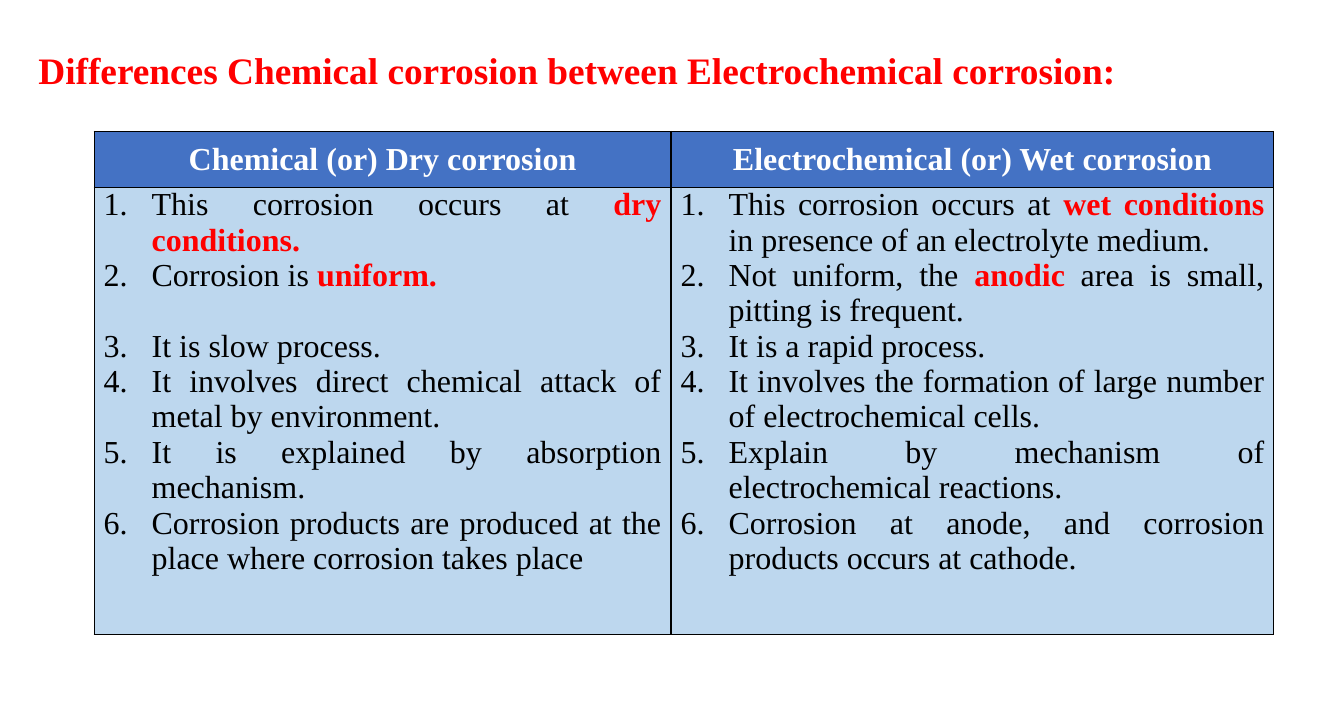
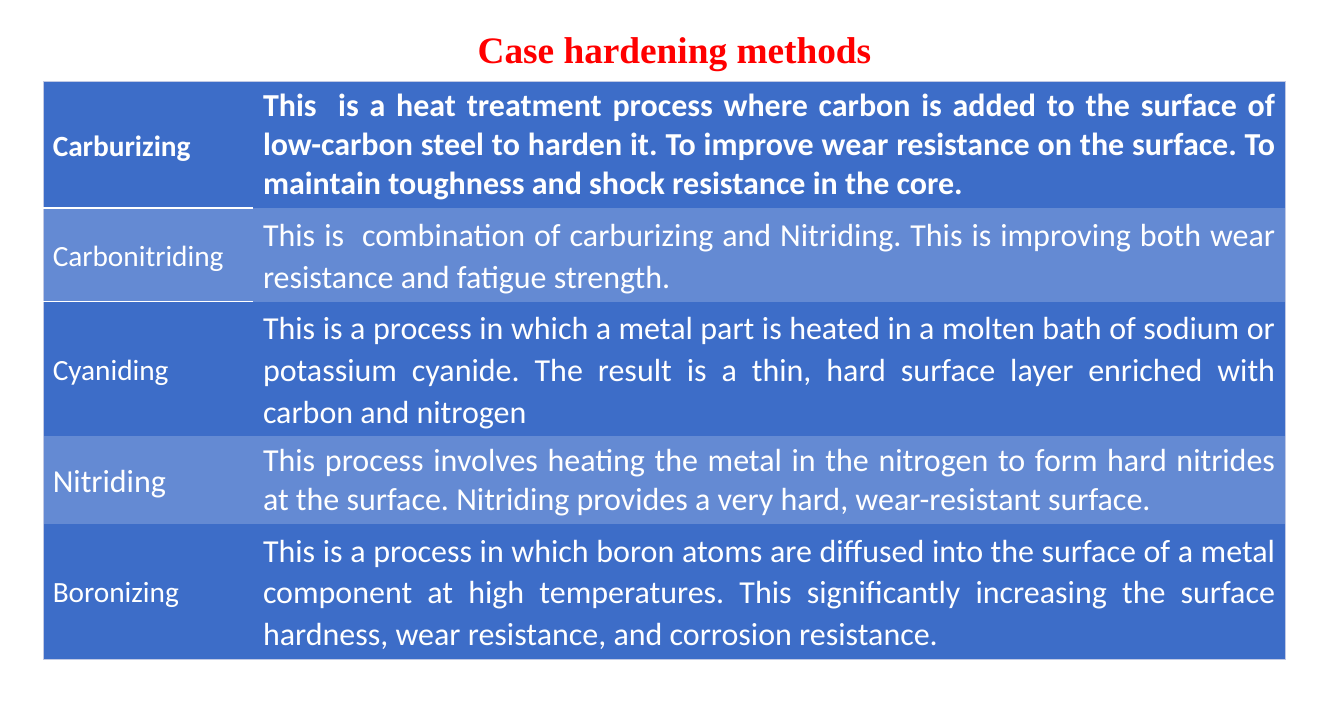
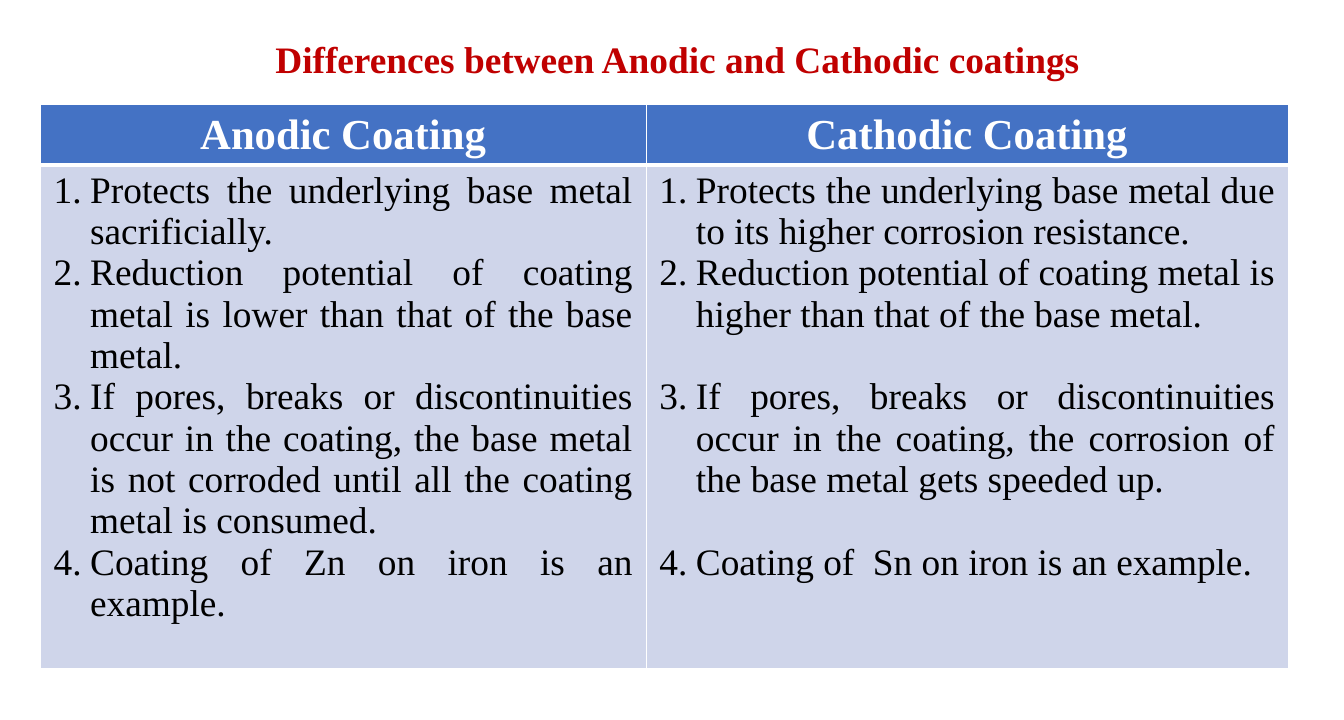
import pptx
import pptx.dml.color
import pptx.enum.text
import pptx.oxml.ns
import pptx.util
from lxml import etree

Inches, Pt = pptx.util.Inches, pptx.util.Pt
RGBColor = pptx.dml.color.RGBColor
ALIGN = pptx.enum.text.PP_ALIGN
ANCHOR = pptx.enum.text.MSO_ANCHOR
qn = pptx.oxml.ns.qn

WHITE = RGBColor(0xFF, 0xFF, 0xFF)
BLACK = RGBColor(0x00, 0x00, 0x00)
RED = RGBColor(0xFF, 0x00, 0x00)
DARK_RED = RGBColor(0xC0, 0x00, 0x00)
HEADER_BLUE = RGBColor(0x44, 0x72, 0xC4)
SKY = RGBColor(0xBD, 0xD7, 0xEE)
LAVENDER = RGBColor(0xCF, 0xD5, 0xEA)
BAND_DARK = RGBColor(0x3D, 0x6D, 0xC8)
BAND_LIGHT = RGBColor(0x64, 0x8A, 0xD3)
FRAME = RGBColor(0xC1, 0xC9, 0xE4)

SERIF, SANS = "Times New Roman", "Calibri"
SERIF_LINE = 1.107  # line height per point of size
NO_GRID_STYLE = "{2D5ABB26-0587-4C30-8999-92F81FD0307C}"

# Text between asterisks is highlighted; "gaps" lists points that follow an empty line.
CORROSION = [
    {"heading": "Chemical (or) Dry corrosion", "gaps": [2], "points": [
        "This corrosion occurs at *dry conditions.*",
        "Corrosion is *uniform.*",
        "It is slow process.",
        "It involves direct chemical attack of metal by environment.",
        "It is explained by absorption mechanism.",
        "Corrosion products are produced at the place where corrosion takes place"]},
    {"heading": "Electrochemical (or) Wet corrosion", "gaps": [], "points": [
        "This corrosion occurs at *wet conditions *in presence of an electrolyte medium.",
        "Not uniform, the *anodic* area is small, pitting is frequent.",
        "It is a rapid process.",
        "It involves the formation of large number of electrochemical cells.",
        "Explain by mechanism of electrochemical reactions.",
        "Corrosion at anode, and corrosion products occurs at cathode."]},
]
COATINGS = [
    {"heading": "Anodic Coating", "gaps": [], "points": [
        "Protects the underlying base metal sacrificially.",
        "Reduction potential of coating metal is lower than that of the base metal.",
        "If pores, breaks or discontinuities occur in the coating, the base metal is not "
        "corroded until all the coating metal is consumed.",
        "Coating of Zn on iron is an example."]},
    {"heading": "Cathodic Coating", "gaps": [2, 3], "points": [
        "Protects the underlying base metal due to its higher corrosion resistance.",
        "Reduction potential of coating metal is higher than that of the base metal.",
        "If pores, breaks or discontinuities occur in the coating, the corrosion of the "
        "base metal gets speeded up.",
        "Coating of  Sn on iron is an example."]},
]
# method, description, method size, description line spacing, row height
HARDENING = [
    ("Carburizing",
     "This  is a heat treatment process where carbon is added to the surface of low-carbon "
     "steel to harden it. To improve wear resistance on the surface. To maintain toughness "
     "and shock resistance in the core.", 22, 1.0, 1.29),
    ("Carbonitriding",
     "This is  combination of carburizing and Nitriding. This is improving both wear "
     "resistance and fatigue strength.", 22, 1.07, 0.96),
    ("Cyaniding",
     "This is a process in which a metal part is heated in a molten bath of sodium or "
     "potassium cyanide. The result is a thin, hard surface layer enriched with carbon "
     "and nitrogen", 22, 1.07, 1.38),
    ("Nitriding",
     "This process involves heating the metal in the nitrogen to form hard nitrides at the "
     "surface. Nitriding provides a very hard, wear-resistant surface.", 24, 1.0, 0.9),
    ("Boronizing",
     "This is a process in which boron atoms are diffused into the surface of a metal "
     "component at high temperatures. This significantly increasing the surface hardness, "
     "wear resistance, and corrosion resistance.", 22, 1.07, 1.38),
]


def write(paragraph, text, *, size, color, font=SERIF, bold=False, align=ALIGN.LEFT,
          line_spacing=None, space_before=None, number_indent=None):
    """Fill a paragraph; text between asterisks turns bold red."""
    if number_indent:
        properties = paragraph._p.get_or_add_pPr()
        properties.set("marL", str(Inches(number_indent)))
        properties.set("indent", str(-Inches(number_indent)))
        etree.SubElement(properties, qn("a:buAutoNum"), type="arabicPeriod")
    paragraph.alignment = align
    if line_spacing:
        paragraph.line_spacing = line_spacing
    if space_before:
        paragraph.space_before = Pt(space_before)
    for position, part in enumerate(text.split("*")):
        if not part:
            continue
        highlighted = position % 2 == 1
        run = paragraph.add_run()
        run.text = part
        run.font.size = Pt(size)
        run.font.name = font
        run.font.bold = bold or highlighted
        run.font.color.rgb = RED if highlighted else color


def add_titled_slide(deck, title, box, color=RED, align=ALIGN.CENTER):
    slide = deck.slides.add_slide(deck.slide_layouts[5])
    heading = slide.shapes.title
    heading.left, heading.top, heading.width, heading.height = map(Inches, box)
    frame = heading.text_frame
    frame.word_wrap = True
    frame.auto_size = pptx.enum.text.MSO_AUTO_SIZE.NONE
    frame.vertical_anchor = ANCHOR.TOP
    write(frame.paragraphs[0], title, size=28, color=color, bold=True, align=align)
    return slide


def add_plain_table(slide, left, top, widths, heights):
    table = slide.shapes.add_table(
        len(heights), len(widths), Inches(left), Inches(top),
        Inches(sum(widths)), Inches(sum(heights))).table
    table._tbl.tblPr.find(qn("a:tableStyleId")).text = NO_GRID_STYLE
    table.first_row = table.horz_banding = False
    for column, width in zip(table.columns, widths):
        column.width = Inches(width)
    for row, height in zip(table.rows, heights):
        row.height = Inches(height)
    return table


def dress_cell(cell, fill, borders, insets=(0.1, 0.05), anchor=ANCHOR.MIDDLE):
    """Set margins, fill and borders; borders maps L, R, T, B to (colour, points)."""
    cell.margin_left = cell.margin_right = Inches(insets[0])
    cell.margin_top = cell.margin_bottom = Inches(insets[1])
    cell.vertical_anchor = anchor
    properties = cell._tc.get_or_add_tcPr()
    for side in "LRTB":
        if side in borders:
            color, points = borders[side]
            line = etree.SubElement(properties, qn("a:ln" + side), w=str(Pt(points)))
            solid = etree.SubElement(line, qn("a:solidFill"))
            etree.SubElement(solid, qn("a:srgbClr"), val=str(color))
    cell.fill.solid()
    cell.fill.fore_color.rgb = fill


def add_comparison(slide, sides, *, place, widths, heights, head_size, size, indent,
                   body_fill, insets, line_color, rule):
    """Two headed columns of numbered points; rule is the line under the headings."""
    table = add_plain_table(slide, *place, widths, heights)
    grid = dict.fromkeys("LRTB", (line_color, 1))
    for index, side in enumerate(sides):
        head, body = table.cell(0, index), table.cell(1, index)
        dress_cell(head, HEADER_BLUE, {**grid, "B": (line_color, rule)}, insets)
        dress_cell(body, body_fill, {**grid, "T": (line_color, rule)}, insets, ANCHOR.TOP)
        write(head.text_frame.paragraphs[0], side["heading"], size=head_size,
              color=WHITE, bold=True, align=ALIGN.CENTER)
        frame = body.text_frame
        for number, point in enumerate(side["points"]):
            paragraph = frame.add_paragraph() if number else frame.paragraphs[0]
            gap = size * SERIF_LINE if number in side["gaps"] else None
            write(paragraph, point, size=size, color=BLACK, align=ALIGN.JUSTIFY,
                  space_before=gap, number_indent=indent)


def add_hardening_table(slide):
    table = add_plain_table(slide, 0.45, 0.85, (2.19, 10.75), [row[-1] for row in HARDENING])
    outline = (FRAME, 0.5)
    last = len(HARDENING) - 1
    for index, (method, description, method_size, spacing, _) in enumerate(HARDENING):
        fill = BAND_LIGHT if index % 2 else BAND_DARK
        edges = {}
        if index == 0:
            edges["T"] = outline
        if index == last:
            edges["B"] = outline
        name_cell, text_cell = table.cell(index, 0), table.cell(index, 1)
        name_edges = {**edges, "L": outline}
        if index == 0:
            name_edges["B"] = (WHITE, 1.5)
        elif index == 1:
            name_edges["T"] = (WHITE, 1.5)
        dress_cell(name_cell, fill, name_edges)
        dress_cell(text_cell, fill, {**edges, "R": outline})
        style = {"font": SANS, "color": WHITE, "bold": index == 0}
        write(name_cell.text_frame.paragraphs[0], method, size=method_size,
              line_spacing=1.07, **style)
        write(text_cell.text_frame.paragraphs[0], description, size=24,
              line_spacing=spacing, align=ALIGN.JUSTIFY, **style)


def main():
    deck = pptx.Presentation()
    deck.slide_width, deck.slide_height = Inches(14), Inches(7.5)

    corrosion = add_titled_slide(
        deck, "Differences Chemical corrosion between Electrochemical corrosion:",
        (0.3, 0.44, 12.97, 0.57), align=ALIGN.LEFT)
    add_comparison(corrosion, CORROSION, place=(0.98, 1.37), widths=(6.01, 6.28),
                   heights=(0.58, 4.66), head_size=24, size=24, indent=0.5,
                   body_fill=SKY, insets=(0.1, 0), line_color=BLACK, rule=1)

    hardening = add_titled_slide(deck, "Case hardening methods", (4.86, 0.22, 4.33, 0.57))
    add_hardening_table(hardening)

    coatings = add_titled_slide(
        deck, "Differences between Anodic and Cathodic coatings",
        (2.72, 0.33, 8.67, 0.57), color=DARK_RED)
    add_comparison(coatings, COATINGS, place=(0.42, 1.09), widths=(6.31, 6.69),
                   heights=(0.63, 5.24), head_size=32, size=28, indent=0.38,
                   body_fill=LAVENDER, insets=(0.14, 0.05), line_color=WHITE, rule=3)

    deck.save("out.pptx")


if __name__ == "__main__":
    main()
